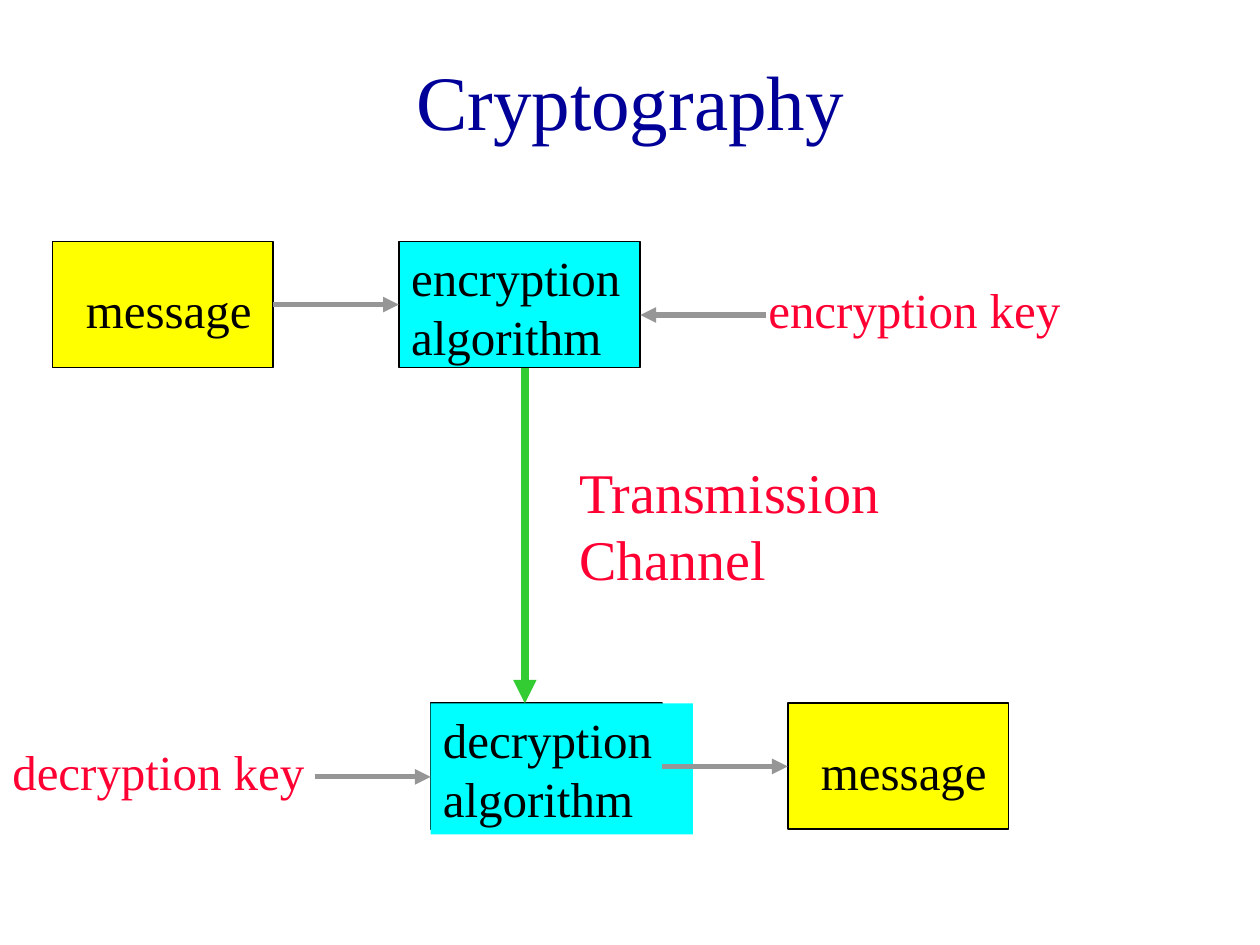
from pptx import Presentation
from pptx.dml.color import RGBColor as Rgb
from pptx.enum.shapes import MSO_CONNECTOR as Conn, MSO_SHAPE as Shape
from pptx.enum.text import MSO_ANCHOR as Anchor, PP_ALIGN as Align
from pptx.oxml.ns import qn
from pptx.util import Cm, Pt
from lxml.etree import SubElement as Sub

COLORS = {"title": "000099", "ink": "000000", "red": "FF0033",
          "yellow": "FFFF00", "cyan": "00FFFF", "gray": "969696",
          "green": "33CC33"}
TOP, RIGHT, LEFT = 4.87, 3, 1
BASE = 14.18
TALL = 2.54


class Board:
    """Holds the style and the current slide."""
    font = "Times New Roman"
    size = 28

    def __init__(self, slide):
        self.slide = slide
        self.shapes = slide.shapes

    def hue(self, name):
        return Rgb.from_string(COLORS[name])

    def box(self, x, y, w, fill):
        box = self.shapes.add_shape(Shape.RECTANGLE, Cm(x), Cm(y), Cm(w), Cm(TALL))
        box.shadow.inherit = False
        box.fill.solid()
        box.fill.fore_color.rgb = self.hue(fill)
        box.line.color.rgb = self.hue("ink")
        box.line.width = Pt(1)
        return box

    def text(self, words, x, y, w, h, color="ink", size=size, wrap=True, fill=None):
        item = self.shapes.add_textbox(Cm(x), Cm(y), Cm(w), Cm(h))
        if fill:
            item.fill.solid()
            item.fill.fore_color.rgb = self.hue(fill)
        frame = item.text_frame
        frame.word_wrap = wrap
        frame.text = words
        font = frame.paragraphs[0].runs[0].font
        font.name, font.size = self.font, Pt(size)
        font.color.rgb = self.hue(color)
        return frame

    def arrow(self, x1, y1, x2, y2, color="gray", width=3):
        line = self.shapes.add_connector(Conn.STRAIGHT, Cm(x1), Cm(y1), Cm(x2), Cm(y2))
        line.line.color.rgb = self.hue(color)
        line.line.width = Pt(width)
        Sub(line.line._get_or_add_ln(), qn("a:tailEnd"), type="triangle")
        Sub(line._element.spPr, qn("a:effectLst"))
        return line

    def join(self, start, end):
        line = self.arrow(0, 0, 1, 0)
        line.begin_connect(start, RIGHT)
        line.end_connect(end, LEFT)


def main():
    deck = Presentation()
    deck.slide_width, deck.slide_height = Cm(25.4), Cm(19.05)
    board = Board(deck.slides.add_slide(deck.slide_layouts[6]))

    # Title
    title = board.text("Cryptography", 1.91, 0.42, 21.59, 3.18, "title", 44)
    title.vertical_anchor = Anchor.MIDDLE
    title.paragraphs[0].alignment = Align.CENTER

    # Algorithms
    decrypt = board.box(8.68, BASE, 4.66, "yellow")
    board.text("decryption algorithm", 8.68, BASE, 5.29, 2.64, fill="cyan")
    encrypt = board.box(8.04, TOP, 4.87, "cyan")
    board.text("encryption algorithm", 8.04, TOP, 5.08, 2.64)

    # Messages at both ends
    ends = []
    for x, y in ((1.06, TOP), (15.88, BASE)):
        ends.append(board.box(x, y, 4.45, "yellow"))
        board.text("message", x + 0.42, y + 0.64, 4.02, 1.45)
    board.join(ends[0], encrypt)
    board.join(decrypt, ends[1])

    # Channel
    board.arrow(10.58, TOP + TALL, 10.58, BASE, "green", 4.5)
    board.text("Transmission Channel", 11.43, 9.1, 8.04, 2.96, "red", 32)

    # Keys
    board.text("encryption key", 15.24, TOP + 0.64, 8.47, 1.45, "red")
    board.arrow(15.45, 6.35, 12.91, 6.35)
    board.text("decryption key", 0, BASE + 0.64, 6.4, 1.45, "red", wrap=False)
    board.arrow(6.35, 15.66, 8.68, 15.66)

    deck.save("out.pptx")


if __name__ == "__main__":
    main()
